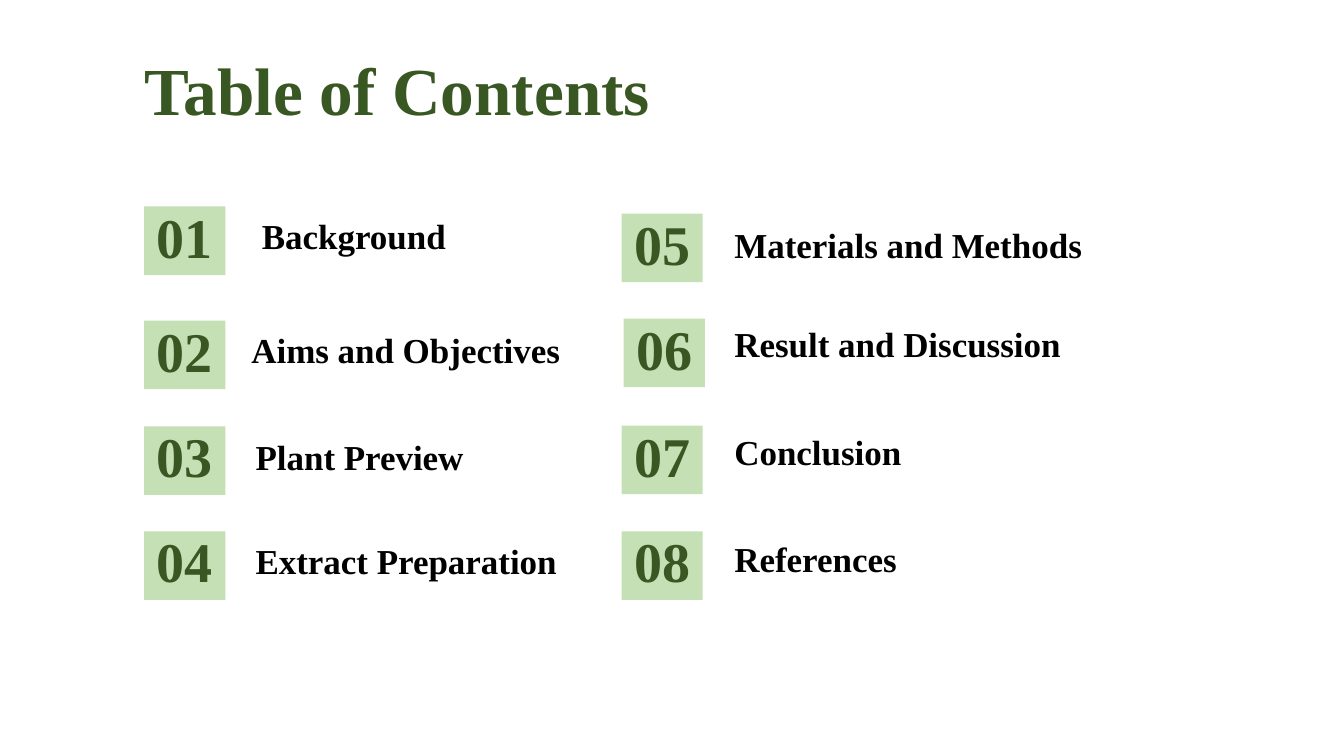
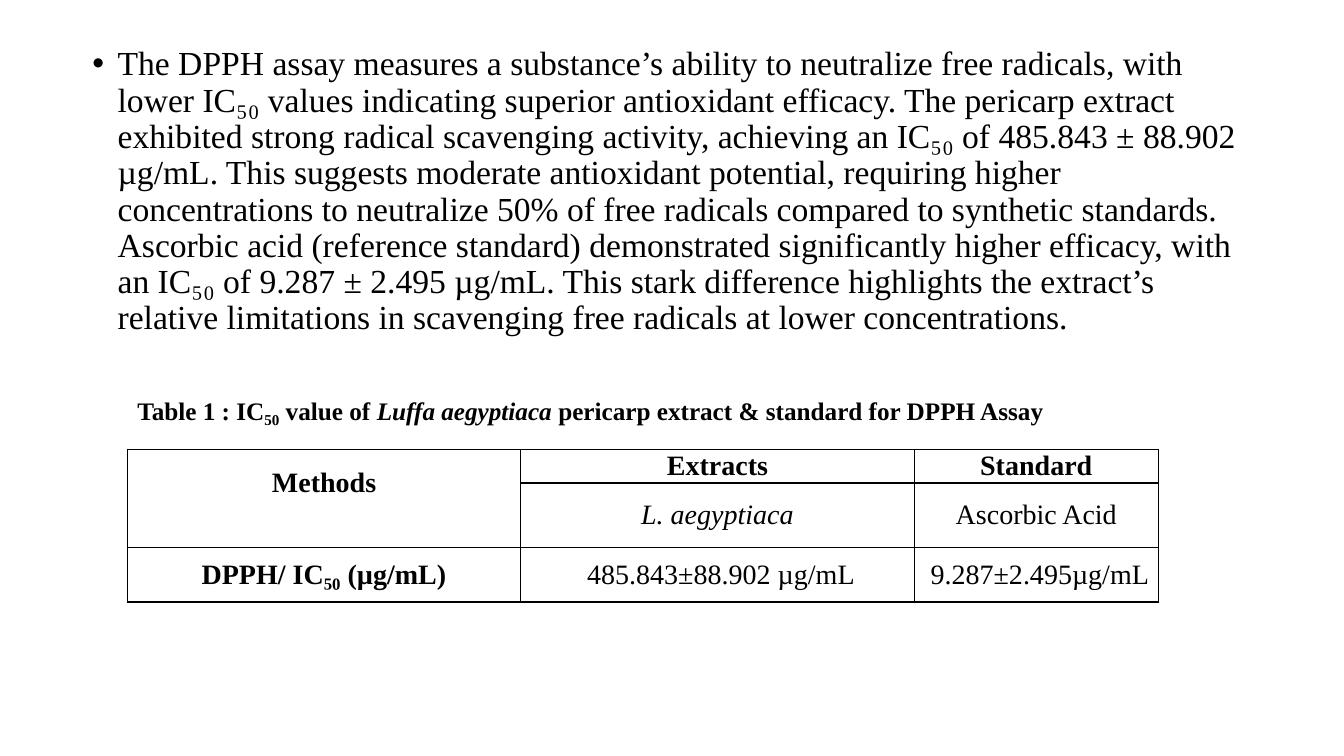
import pptx
import pptx.util
import pptx.dml.color
import pptx.enum.shapes
import pptx.enum.text
import pptx.oxml.ns
import lxml.etree

Pt = pptx.util.Pt
ANCHOR = pptx.enum.text.MSO_ANCHOR
ALIGN = pptx.enum.text.PP_ALIGN
qn = pptx.oxml.ns.qn

GREEN, PALE_GREEN, BLACK = "385723", "C5E0B4", "000000"
TITLE = dict(size=Pt(48), bold=True, color=GREEN)
NUMBER = dict(size=Pt(40), bold=True, color=GREEN)
LABEL = dict(size=Pt(25), bold=True, color=BLACK)
BODY = dict(size=Pt(24), color=BLACK)
CAPTION = dict(size=Pt(18), bold=True, color=BLACK)
CELL = dict(size=Pt(20), color=BLACK)


def rgb(value):
    return pptx.dml.color.RGBColor.from_string(value)


def write(tf, runs, style, anchor=ANCHOR.TOP, align=ALIGN.LEFT, margins=(7.2, 7.2, 7.2, 7.2)):
    """Fill a frame or cell with (text, extra format) runs; margins run left, top, right, bottom."""
    holder = tf
    if hasattr(tf, "text_frame"):
        tf = tf.text_frame
    tf.word_wrap = True
    holder.vertical_anchor = anchor
    for side, margin in zip(("left", "top", "right", "bottom"), margins):
        setattr(holder, "margin_" + side, Pt(margin))
    p = tf.paragraphs[0]
    p.alignment = align
    for text, extra in runs:
        r = p.add_run()
        r.text = text
        r.font.name = "Times New Roman"
        for name, value in {**style, **extra}.items():
            if name == "color":
                r.font.color.rgb = rgb(value)
            else:
                setattr(r.font, name, value)
    return p


prs = pptx.Presentation()
prs.slide_width, prs.slide_height = Pt(960), Pt(540)
blank = prs.slide_layouts[6]

# Table of contents
s = prs.slides.add_slide(blank)
sp = s.shapes.add_textbox(Pt(96.5), Pt(29.5), Pt(607), Pt(37.5))
write(sp.text_frame, [("Table of Contents", {})], TITLE, margins=(7.2, 5, 7.2, 7.2))

# label, number left and top, label left and top
topics = [
    ("Background", 103, 147.5, 180, 152.5),
    ("Aims and Objectives", 103, 229, 172.5, 234),
    ("Plant Preview", 103, 304.5, 175.5, 310),
    ("Extract Preparation", 103, 379.5, 175.5, 384.5),
    ("Materials and Methods", 444, 152.5, 517.5, 158.5),
    ("Result and Discussion", 445.5, 227.5, 517.5, 229.5),
    ("Conclusion", 444, 304, 517.5, 306.5),
    ("References", 444, 379.5, 517.5, 383),
]
for number, (label, x, y, label_x, label_y) in enumerate(topics, 1):
    sp = s.shapes.add_shape(pptx.enum.shapes.MSO_SHAPE.RECTANGLE, Pt(x), Pt(y), Pt(58), Pt(49))
    sp.shadow.inherit = False
    sp.fill.solid()
    sp.fill.fore_color.rgb = rgb(PALE_GREEN)
    sp.line.fill.background()
    write(sp.text_frame, [(f"{number:02}", {})], NUMBER, ANCHOR.MIDDLE, ALIGN.CENTER,
          (7.2, 0, 7.2, 7.2))
    sp = s.shapes.add_textbox(Pt(label_x), Pt(label_y), Pt(283), Pt(38))
    write(sp.text_frame, [(label, {})], LABEL, ANCHOR.BOTTOM)

# DPPH assay
s = prs.slides.add_slide(blank)
sp = s.shapes.add_textbox(Pt(59), Pt(30), Pt(836.5), Pt(481))
finding = (
    "The DPPH assay measures a substance’s ability to neutralize free radicals, with lower IC₅₀ "
    "values indicating superior antioxidant efficacy. The pericarp extract exhibited strong radical "
    "scavenging activity, achieving an IC₅₀ of 485.843 ± 88.902 µg/mL. This suggests moderate "
    "antioxidant potential, requiring higher concentrations to neutralize 50% of free radicals "
    "compared to synthetic standards. Ascorbic acid (reference standard) demonstrated significantly "
    "higher efficacy, with an IC₅₀ of 9.287 ± 2.495 µg/mL. This stark difference highlights the "
    "extract’s relative limitations in scavenging free radicals at lower concentrations."
)
p = write(sp.text_frame, [(finding, {})], BODY, margins=(7.2, 3.6, 7.2, 3.6))
p.line_spacing = 0.9
pPr = p._p.get_or_add_pPr()
pPr.set("marL", str(Pt(18)))
pPr.set("indent", str(-Pt(18)))
lxml.etree.SubElement(pPr, qn("a:buFont"), typeface="Arial")
lxml.etree.SubElement(pPr, qn("a:buChar"), char="•")

rows = [
    [("Methods", {"bold": True}), ("Extracts", {"bold": True}), ("Standard", {"bold": True})],
    [None, ("L. aegyptiaca", {"italic": True}), ("Ascorbic Acid", {})],
    [("DPPH/ IC₅₀ (µg/mL)", {"bold": True}), ("485.843±88.902 µg/mL", {}), ("9.287±2.495µg/mL", {})],
]
widths, heights = (281, 281, 174.5), (22.5, 44.5, 39)
frame = s.shapes.add_table(3, 3, Pt(91), Pt(321), Pt(sum(widths)), Pt(sum(heights)))
table = frame.table
table.first_row = table.horz_banding = False
for column, width in zip(table.columns, widths):
    column.width = Pt(width)
for row, height in zip(table.rows, heights):
    row.height = Pt(height)
table.cell(0, 0).merge(table.cell(1, 0))
for i, row in enumerate(rows):
    for j, content in enumerate(row):
        cell = table.cell(i, j)
        if content:
            left = 10 if i == 2 and j > 0 else 5
            bottom = 22 if cell.is_merge_origin else 0
            write(cell, [content], CELL, ANCHOR.MIDDLE, ALIGN.CENTER, (left, 0, 5, bottom))
        tcPr = cell._tc.get_or_add_tcPr()
        for edge in ("a:lnL", "a:lnR", "a:lnT", "a:lnB"):
            ln = lxml.etree.SubElement(tcPr, qn(edge), w=str(Pt(1)))
            fill = lxml.etree.SubElement(ln, qn("a:solidFill"))
            lxml.etree.SubElement(fill, qn("a:srgbClr"), val=BLACK)
        cell.fill.background()

sp = s.shapes.add_textbox(Pt(91), Pt(278), Pt(672.5), Pt(30))
write(sp.text_frame, [
    ("Table 1 : IC₅₀ value of ", {}),
    ("Luffa aegyptiaca ", {"italic": True}),
    ("pericarp extract & standard for DPPH Assay", {}),
], CAPTION, ANCHOR.MIDDLE, margins=(7.2, 3.6, 7.2, 3.6))

prs.save("out.pptx")
